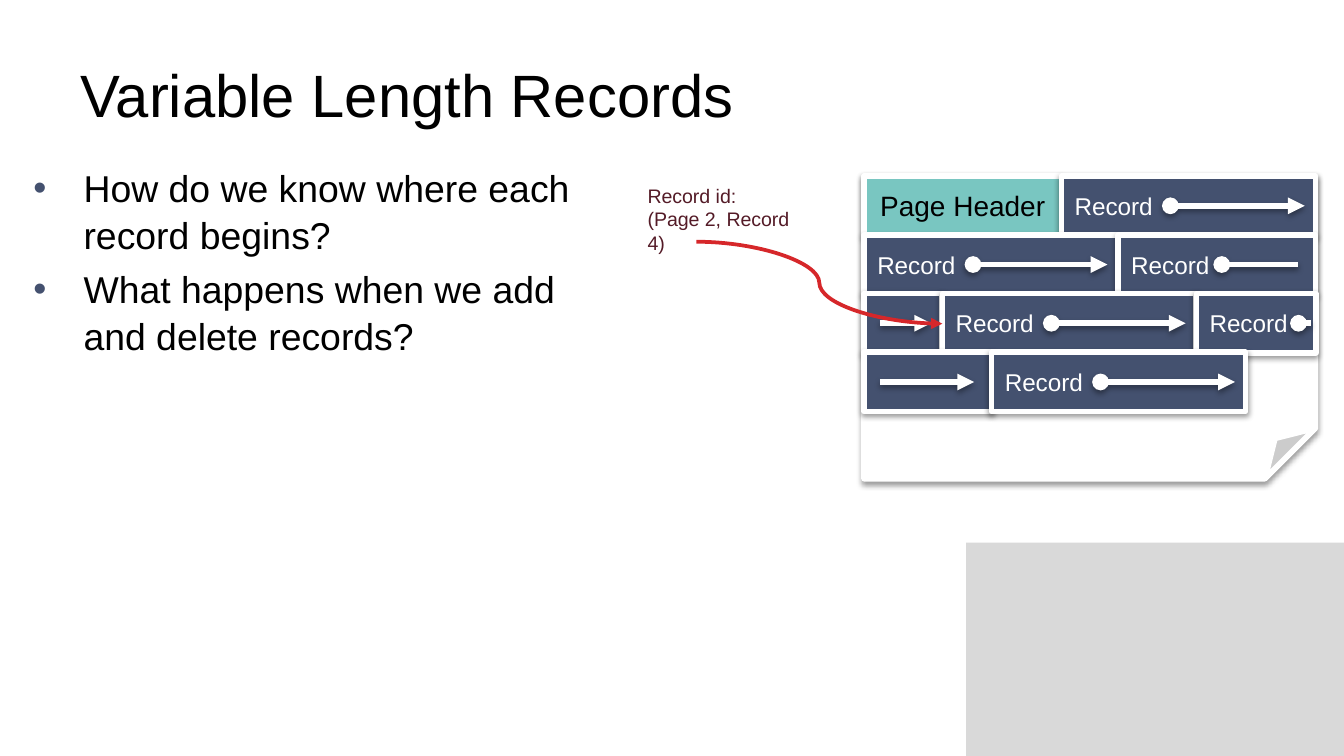
from lxml import etree
from pptx import Presentation
from pptx.dml.color import RGBColor
from pptx.enum.shapes import MSO_CONNECTOR, MSO_SHAPE
from pptx.enum.text import MSO_ANCHOR, PP_ALIGN
from pptx.oxml.ns import qn
from pptx.util import Cm, Pt

RECT, FOLDED_PAGE = MSO_SHAPE.RECTANGLE, MSO_SHAPE.FOLDED_CORNER
STRAIGHT, CURVE = MSO_CONNECTOR.STRAIGHT, MSO_CONNECTOR.CURVE
LEFT, CENTER = PP_ALIGN.LEFT, PP_ALIGN.CENTER
TOP, MIDDLE = MSO_ANCHOR.TOP, MSO_ANCHOR.MIDDLE

WHITE, BLACK, GREY = "FFFFFF", "000000", "D9D9D9"
NAVY, TEAL, RED, MAROON = "44516F", "79C6C1", "D6272A", "541B27"
PAGE_LEFT, PAGE_TOP = 16.33, 3.33
ROW_HEIGHT, ROW_PITCH = 1.12, 1.11

HEADER = {"width": 3.73, "label": "Page Header", "fill": TEAL,
          "color": BLACK, "size": 15, "align": CENTER}
RECORD = {"width": 4.8, "label": "Record", "pointer": (2.06, 4.6, "oval", "triangle")}
PAGE_ROWS = [
    [HEADER, RECORD],
    [RECORD, {"width": 3.73, "label": "Record", "pointer": (1.96, 3.4, "oval", None)}],
    [{"width": 1.48, "pointer": (0.3, 1.27, None, "triangle")}, RECORD,
     {"width": 2.26, "label": "Record", "pointer": (1.93, 2.16, "oval", None)}],
    [{"width": 2.41, "pointer": (0.3, 2.08, None, "triangle")}, RECORD],
]


def rgb(hex_color):
    return RGBColor.from_string(hex_color)


def apply(target, values):
    for name, value in values.items():
        setattr(target, name, value)


def add_node(parent, tag, **attributes):
    return etree.SubElement(parent, qn(tag), attributes)


def set_effects(shape, raised):
    effects = add_node(shape._element.spPr, "a:effectLst")
    if raised:
        shadow = add_node(effects, "a:outerShdw", blurRad=str(Pt(3.1)), dist=str(Pt(1.6)),
                          dir="5400000", algn="t", rotWithShape="0")
        color = add_node(shadow, "a:srgbClr", val=BLACK)
        add_node(color, "a:alpha", val="38000")


def write(frame, lines, size, color, anchor=TOP, wrap=True, **paragraph_format):
    apply(frame, {"word_wrap": wrap, "vertical_anchor": anchor})
    for index, line in enumerate(lines):
        paragraph = frame.add_paragraph() if index else frame.paragraphs[0]
        apply(paragraph, paragraph_format)
        run = paragraph.add_run()
        run.text = line
        apply(run.font, {"name": "Arial", "size": Pt(size)})
        run.font.color.rgb = rgb(color)


def add_text(shapes, box, lines, size, color, **options):
    frame = shapes.add_textbox(*map(Cm, box)).text_frame
    write(frame, lines, size, color, **options)
    return frame


def add_bullets(frame, color, indent):
    for paragraph in frame.paragraphs:
        properties = paragraph._p.get_or_add_pPr()
        properties.set("marL", str(Cm(indent)))
        properties.set("indent", str(-Cm(indent)))
        bullet_color = add_node(properties, "a:buClr")
        add_node(bullet_color, "a:srgbClr", val=color)
        add_node(properties, "a:buFont", typeface="Arial")
        add_node(properties, "a:buChar", char="•")


def add_panel(shapes, kind, box, fill, outlined=True):
    panel = shapes.add_shape(kind, *map(Cm, box))
    panel.fill.solid()
    panel.fill.fore_color.rgb = rgb(fill)
    if outlined:
        panel.line.color.rgb = rgb(WHITE)
        panel.line.width = Pt(3)
    else:
        panel.line.fill.background()
    panel.shadow.inherit = False
    if outlined:
        panel._element.spPr.remove(panel._element.spPr.find(qn("a:effectLst")))
        set_effects(panel, True)
    return panel


def add_arrow(shapes, kind, ends, color, width, head, tail, raised):
    arrow = shapes.add_connector(kind, *map(Cm, ends))
    arrow.line.color.rgb = rgb(color)
    arrow.line.width = Pt(width)
    outline = arrow.line._get_or_add_ln()
    for tag, style in (("a:headEnd", head), ("a:tailEnd", tail)):
        if style:
            add_node(outline, tag, type=style)
    set_effects(arrow, raised)


def add_cell(shapes, left, top, width, label=None, pointer=None, fill=NAVY,
             color=WHITE, size=13, align=LEFT):
    cell = add_panel(shapes, RECT, (left, top, width, ROW_HEIGHT), fill)
    if label:
        write(cell.text_frame, [label], size, color, anchor=MIDDLE, alignment=align)
    if pointer:
        start, end, head, tail = pointer
        middle = top + ROW_HEIGHT / 2
        add_arrow(shapes, STRAIGHT, (left + start, middle, left + end, middle),
                  WHITE, 3, head, tail, True)


def add_page(slide):
    shapes = slide.shapes.add_group_shape().shapes
    add_panel(shapes, FOLDED_PAGE, (PAGE_LEFT, PAGE_TOP, 8.53, 5.72), WHITE)
    for index, row in enumerate(PAGE_ROWS):
        left = PAGE_LEFT
        for cell in row:
            add_cell(shapes, left, PAGE_TOP + index * ROW_PITCH, **cell)
            left += cell["width"]


def main():
    presentation = Presentation()
    apply(presentation, {"slide_width": Cm(25.4), "slide_height": Cm(14.29)})
    slide = presentation.slides.add_slide(presentation.slide_layouts[6])
    shapes = slide.shapes

    add_panel(shapes, RECT, (18.26, 10.26, 7.14, 4.03), GREY, outlined=False)
    add_text(shapes, (1.27, 0.58, 22.86, 2.39), ["Variable Length Records"],
             32, BLACK, anchor=MIDDLE)
    questions = add_text(shapes, (0.38, 2.95, 10.85, 9.42),
                         ["How do we know where each record begins?",
                          "What happens when we add and delete records?"],
                         20, BLACK, space_before=Pt(4), line_spacing=1.05)
    add_bullets(questions, NAVY, 0.95)
    add_text(shapes, (11.99, 3.35, 3.61, 1.14), ["Record id:", "(Page 2, Record 4)"],
             10.5, MAROON, wrap=False)
    add_page(slide)
    add_arrow(shapes, CURVE, (13.16, 4.57, 17.81, 6.12), RED, 2, None, "triangle", False)

    presentation.save("out.pptx")


main()
